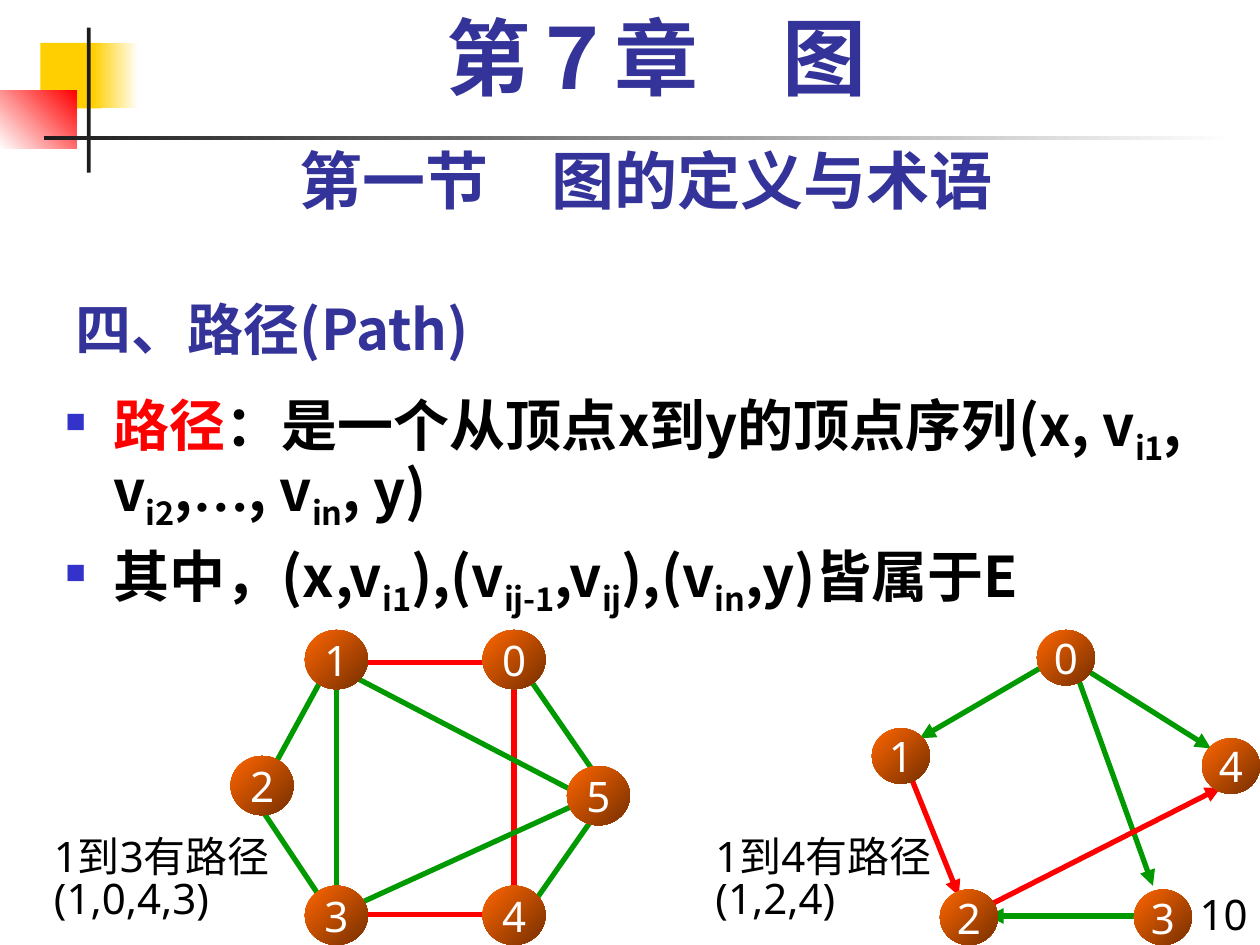
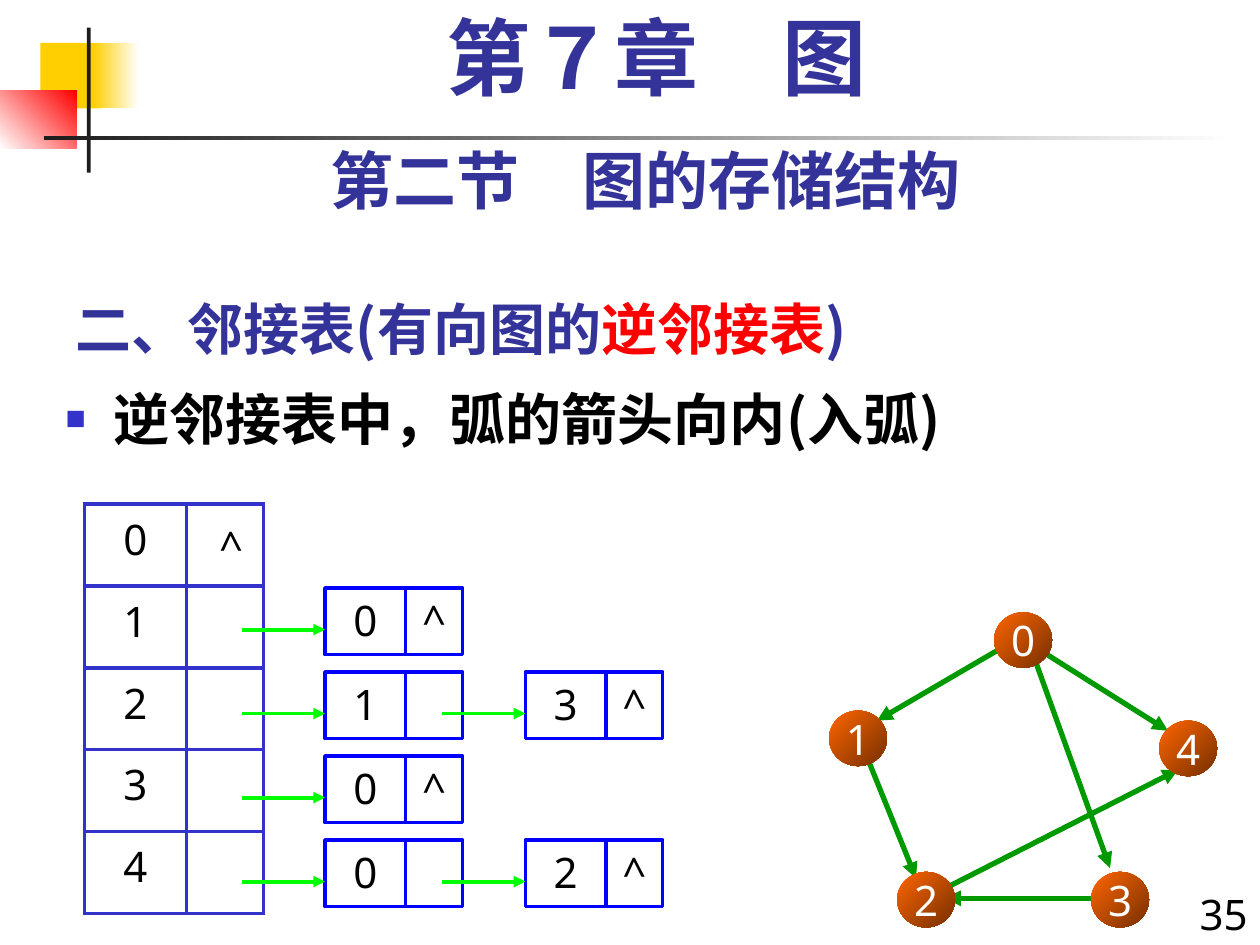
from lxml.etree import SubElement
from pptx import Presentation
from pptx.dml.color import RGBColor
from pptx.enum.shapes import MSO_CONNECTOR, MSO_SHAPE as Preset
from pptx.enum.text import MSO_ANCHOR as Anchor, MSO_AUTO_SIZE as AutoSize, PP_ALIGN as Align
from pptx.oxml.ns import qn
from pptx.util import Inches, Pt

COLORS = {
    "text": "000000", "heading": "333399", "accent": "FF0000", "white": "FFFFFF",
    "yellow": "FFCF01", "rule": "1C1C1C", "bullet": "3333CC", "edge": "009900",
    "node_light": "FF6600", "node_dark": "762F00", "cell": "0000FF", "pointer": "00FF00",
}
SANS, CJK, SERIF = "Noto Sans", "Noto Sans CJK SC", "Times New Roman"
CJK_SPACING = 0.85
CHAPTER = "第７章　图"

# Vertex corners and edge ends, relative to the corner of each graph
DIGRAPH = {
    "size": (0.46, 0.44),
    "arrows": True,
    "nodes": [(1.31, 0), (0, 0.78), (0.54, 2.06), (2.08, 2.06), (2.62, 0.86)],
    "edges": {
        (0, 4): (1.69, 0.31, 2.69, 0.94),
        (1, 2): (0.31, 1.17, 0.69, 2.11),
        (0, 1): (1.46, 0.23, 0.38, 0.86),
        (0, 3): (1.61, 0.31, 2.23, 2.03),
        (3, 2): (2.08, 2.27, 0.92, 2.27),
        (2, 4): (0.92, 2.19, 2.77, 1.25),
    },
}
UNDIRECTED = {
    "size": (0.5, 0.47),
    "arrows": False,
    "nodes": [(2, 0), (0.59, 0), (0, 1), (0.59, 2.03), (2, 2.03), (2.67, 1.08)],
    "edges": {
        (1, 0): (1.09, 0.26, 2.09, 0.26),
        (0, 4): (2.25, 0.43, 2.25, 2.09),
        (0, 5): (2.34, 0.34, 2.92, 1.18),
        (1, 2): (0.75, 0.34, 0.34, 1.09),
        (1, 3): (0.84, 0.43, 0.84, 2.18),
        (1, 5): (0.92, 0.34, 2.84, 1.34),
        (2, 3): (0.25, 1.43, 0.75, 2.18),
        (4, 3): (2.17, 2.26, 0.92, 2.26),
        (3, 5): (1, 2.18, 2.84, 1.34),
        (4, 5): (2.34, 2.26, 2.92, 1.43),
    },
}


def rgb(name):
    return RGBColor.from_string(COLORS[name])


def box_of(*lengths):
    return [Inches(length) for length in lengths]


# Text
def format_run(run, size, color="text", font=SANS, bold=False):
    run.font.size, run.font.bold, run.font.name = Pt(size), bold, font
    run.font.color.rgb = rgb(color)
    SubElement(run.font._element, qn("a:ea")).set("typeface", CJK)


def write(frame, text, size, color="text", font=SANS, bold=False, align=Align.LEFT, spacing=None):
    frame.text = text
    paragraph = frame.paragraphs[0]
    paragraph.alignment, paragraph.line_spacing = align, spacing
    format_run(paragraph.runs[0], size, color, font, bold)


def add_text(slide, box, text, size, **style):
    frame = slide.shapes.add_textbox(*box_of(*box)).text_frame
    frame.word_wrap = True
    write(frame, text, size, **style)


def add_rich_runs(paragraph, pieces):
    """Each piece is plain text or a (text, style) pair; style "sub" is a subscript."""
    for piece in pieces:
        text, style = piece if isinstance(piece, tuple) else (piece, "text")
        run = paragraph.add_run()
        run.text = text
        format_run(run, 32, "text" if style == "sub" else style,
                   SERIF if text == "…" else CJK, True)
        if style == "sub":
            run.font._element.set("baseline", "-25000")


# Shapes and lines
def add_preset(slide, preset, box, fill=None, angle=0, line=None):
    shape = slide.shapes.add_shape(preset, *box_of(*box))
    shape.shadow.inherit = False
    if isinstance(fill, tuple):
        shape.fill.gradient()
        shape.fill.gradient_angle = (360 - angle) % 360
        for stop, name in zip(shape.fill.gradient_stops, fill):
            stop.color.rgb = rgb(name)
    elif fill:
        shape.fill.solid()
        shape.fill.fore_color.rgb = rgb(fill)
    else:
        shape.fill.background()
    if line:
        shape.line.color.rgb, shape.line.width = rgb(line), Pt(2)
    else:
        shape.line.fill.background()
    return shape


def add_line(slide, ends, color, width, arrow):
    line = slide.shapes.add_connector(MSO_CONNECTOR.STRAIGHT, *box_of(*ends))
    line.line.color.rgb, line.line.width = rgb(color), Pt(width)
    if arrow:
        SubElement(line.line._get_or_add_ln(), qn("a:tailEnd")).set("type", "triangle")
    SubElement(line._element.spPr, qn("a:effectLst"))


# Shared frame: corner blocks, rules, chapter, section and page number
def add_frame(slide, section, page):
    for box, fill, angle in [
        ((0.32, 0.34, 0.48, 0.52), "yellow", 0),
        ((0.74, 0.34, 0.36, 0.52), ("yellow", "white"), 0),
        ((0, 0.72, 0.61, 0.46), ("white", "accent"), 315),
        ((0.69, 0.22, 0.03, 1.15), "rule", 0),
        ((0.35, 1.08, 9.45, 0.03), ("rule", "white"), 0),
    ]:
        add_preset(slide, Preset.RECTANGLE, box, fill, angle)
    heading = dict(color="heading", bold=True, align=Align.CENTER)
    add_text(slide, (0.67, 0.17, 9.08, 0.83), CHAPTER, 48, font=SERIF, spacing=0.77, **heading)
    add_text(slide, (0.5, 1.17, 9.25, 0.7), section, 36, spacing=CJK_SPACING, **heading)
    add_text(slide, (9.33, 7, 0.67, 0.5), page, 24, align=Align.RIGHT)


def place(holder, box):
    holder.left, holder.top, holder.width, holder.height = box_of(*box)
    frame = holder.text_frame
    frame.auto_size, frame.word_wrap = AutoSize.NONE, True
    return frame


def fill_title(slide, pieces, width):
    frame = place(slide.shapes.title, (0.5, 2.17, width, 0.75))
    frame.vertical_anchor = Anchor.BOTTOM
    frame.paragraphs[0].alignment = Align.LEFT
    add_rich_runs(frame.paragraphs[0], pieces)


def fill_body(slide, points):
    frame = place(slide.placeholders[1], (0.42, 3.08, 9.58, 4.42))
    frame.vertical_anchor = Anchor.TOP
    for index, pieces in enumerate(points):
        point = frame.add_paragraph() if index else frame.paragraphs[0]
        point.line_spacing = CJK_SPACING
        point.space_before = Pt(12 if index else 0)
        add_rich_runs(point, pieces)
        props = point._p.get_or_add_pPr()
        props.set("marL", str(Inches(0.38)))
        props.set("indent", str(-Inches(0.38)))
        tint = SubElement(props, qn("a:buClr"))
        SubElement(tint, qn("a:srgbClr")).set("val", COLORS["bullet"])
        SubElement(props, qn("a:buSzPct")).set("val", "60000")
        SubElement(props, qn("a:buChar")).set("char", "■")


def new_slide(deck, section, page, title, title_width, points):
    slide = deck.slides.add_slide(deck.slide_layouts[1])
    add_frame(slide, section, page)
    fill_title(slide, title, title_width)
    fill_body(slide, points)
    return slide


# Graph with an optional highlighted path
def draw_graph(slide, graph, left, top, path=()):
    highlighted = set(zip(path, path[1:]))
    for edge, (x1, y1, x2, y2) in graph["edges"].items():
        color = "accent" if edge in highlighted else "edge"
        add_line(slide, (left + x1, top + y1, left + x2, top + y2), color, 3, graph["arrows"])
    for vertex, (x, y) in enumerate(graph["nodes"]):
        node = add_preset(slide, Preset.OVAL, (left + x, top + y, *graph["size"]),
                          ("node_light", "node_dark"), 45)
        frame = node.text_frame
        frame.margin_left = frame.margin_right = 0
        frame.word_wrap, frame.vertical_anchor = False, Anchor.MIDDLE
        write(frame, str(vertex), 24, "white", align=Align.CENTER)


# Adjacency list: vertex table and chains of linked cells
def set_borders(cell):
    props = cell._tc.get_or_add_tcPr()
    for position, side in enumerate(("lnL", "lnR", "lnT", "lnB")):
        border = props.makeelement(qn("a:" + side), {"w": str(Pt(2.25))})
        solid = SubElement(border, qn("a:solidFill"))
        SubElement(solid, qn("a:srgbClr")).set("val", COLORS["bullet"])
        props.insert(position, border)


def draw_vertex_table(slide, count, left, top):
    row_height, widths = 0.65, (0.81, 0.61)
    table = slide.shapes.add_table(
        count, 2, *box_of(left, top, sum(widths), count * row_height)).table
    table.first_row = table.horz_banding = False
    for column, width in zip(table.columns, widths):
        column.width = Inches(width)
    for vertex, row in enumerate(table.rows):
        row.height = Inches(row_height)
        for cell in row.cells:
            cell.fill.background()
            set_borders(cell)
        write(row.cells[0].text_frame, str(vertex), 24, align=Align.CENTER)


def draw_link(slide, left, top, value, last):
    value_width, next_width, height = 0.64, 0.45, 0.53
    for x, width, text in [(left, value_width, str(value)),
                           (left + value_width, next_width, "^" if last else "")]:
        cell = add_preset(slide, Preset.RECTANGLE, (x, top, width, height), line="cell")
        if text:
            cell.text_frame.vertical_anchor = Anchor.TOP
            write(cell.text_frame, text, 24, align=Align.CENTER)
    add_line(slide, (left - 0.66, top + 0.33, left, top + 0.33), "pointer", 2.25, True)


def draw_adjacency_list(slide, chains, left, top):
    draw_vertex_table(slide, len(chains), left, top)
    for vertex, chain in enumerate(chains):
        if not chain:
            add_text(slide, (left + 0.94, top + 0.08, 0.45, 0.51), "^", 24, align=Align.CENTER)
        for index, value in enumerate(chain):
            draw_link(slide, left + 1.91 + 1.59 * index, top + vertex * 2 / 3,
                      value, index == len(chain) - 1)


def build_path_slide(deck):
    def sub(text):
        return text, "sub"

    slide = new_slide(deck, "第一节　图的定义与术语", "10", ["四、路径(Path)"], 6.25, [
        [("路径", "accent"), "：是一个从顶点x到y的顶点序列(x, v", sub("i1"), ", v", sub("i2"),
         ",", "…", ", v", sub("in"), ", y)"],
        ["其中，(x,v", sub("i1"), "),(v", sub("ij-1"), ",v", sub("ij"), "),(v", sub("in"),
         ",y)皆属于E"],
    ])
    draw_graph(slide, DIGRAPH, 6.92, 5, path=(1, 2, 4))
    draw_graph(slide, UNDIRECTED, 1.83, 5, path=(1, 0, 4, 3))
    for left, caption in [(0.33, "1到3有路径(1,0,4,3)"), (5.58, "1到4有路径(1,2,4)")]:
        add_text(slide, (left, 6.6, 2, 0.9), caption, 24, spacing=CJK_SPACING)


def build_inverse_list_slide(deck):
    slide = new_slide(deck, "第二节　图的存储结构", "35",
                      ["二、邻接表(有向图的", ("逆邻接表", "accent"), ")"], 7.25,
                      [["逆邻接表中，弧的箭头向内(入弧)"]])
    # Title runs share the heading colour except the accent
    draw_adjacency_list(slide, [[], [0], [1, 3], [0], [0, 2]], 0.67, 4)
    draw_graph(slide, DIGRAPH, 6.58, 4.86)


def color_titles(deck):
    for slide in deck.slides:
        for run in slide.shapes.title.text_frame.paragraphs[0].runs:
            if run.font.color.rgb == rgb("text"):
                run.font.color.rgb = rgb("heading")


def main():
    deck = Presentation()
    deck.slide_width, deck.slide_height = Inches(10), Inches(7.5)
    build_path_slide(deck)
    build_inverse_list_slide(deck)
    color_titles(deck)
    deck.save("out.pptx")


if __name__ == "__main__":
    main()
